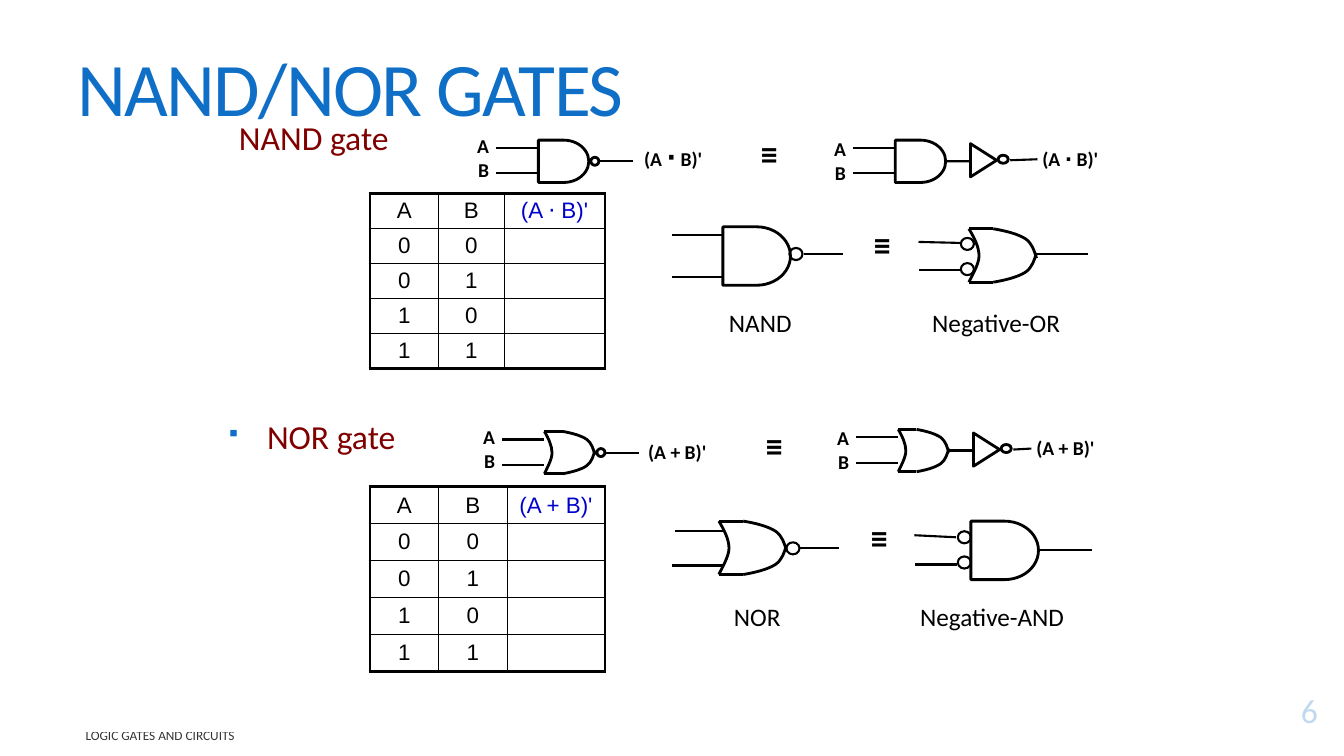
import itertools

import pptx
import pptx.dml.color
import pptx.enum.shapes
import pptx.enum.text
import pptx.oxml
import pptx.oxml.ns
import pptx.util
from pptx.util import Inches

BLACK = pptx.dml.color.RGBColor(0x00, 0x00, 0x00)
BLUE = pptx.dml.color.RGBColor(0x0F, 0x6F, 0xC6)
MAROON = pptx.dml.color.RGBColor(0x80, 0x00, 0x00)
OUTPUT_BLUE = pptx.dml.color.RGBColor(0x00, 0x00, 0xCC)

SHAPE = pptx.enum.shapes.MSO_SHAPE
STRAIGHT = pptx.enum.shapes.MSO_CONNECTOR.STRAIGHT
ALIGN = pptx.enum.text.PP_ALIGN
ANCHOR = pptx.enum.text.MSO_ANCHOR
NO_FIT = pptx.enum.text.MSO_AUTO_SIZE.NONE

SMALL = (0.5, 0.42)
LARGE_AND = (0.67, 0.58)
LARGE_OR = (0.67, 0.53)
SIGNAL = {"size": 14, "bold": True}
CAPTION = {"size": 18}
EQUIVALENT = {"size": 24, "bold": True}
GATE_NAME = {"size": 24, "color": MAROON}

# Bezier outlines of an OR gate as fractions of its width and height
OR_BACK = [(0, 0), (0.08, 0.17), (0.15, 0.34), (0.15, 0.51),
           (0.15, 0.67), (0.03, 0.91), (0, 1)]
OR_TOP = [(0.36, 0), (0.55, 0.04), (0.73, 0.1), (0.84, 0.19),
          (0.94, 0.28), (0.97, 0.42), (1, 0.55)]
OR_BOTTOM = [(x, 1 - y) for x, y in OR_TOP]


def add_xml(parent, tag, **attributes):
    element = pptx.oxml.parse_xml(f"<{tag} {pptx.oxml.ns.nsdecls('a')}/>")
    for name, value in attributes.items():
        element.set(name, str(value))
    parent.append(element)
    return element


class CircuitSlide:
    def __init__(self, page):
        self.page = page
        self.shapes = page.shapes

    def start_group(self):
        self.shapes = self.page.shapes.add_group_shape().shapes

    def format_font(self, font, size, color=BLACK, bold=False, name="Calibri"):
        values = {"size": pptx.util.Pt(size), "bold": bold, "name": name}
        for attribute, value in values.items():
            setattr(font, attribute, value)
        font.color.rgb = color

    def fill_text(self, box, text, style, align=ALIGN.LEFT, anchor=ANCHOR.TOP, spacing=None):
        """Write text, or a list of (text, size) spans, into a box."""
        values = {"word_wrap": True, "auto_size": NO_FIT, "vertical_anchor": anchor}
        for attribute, value in values.items():
            setattr(box.text_frame, attribute, value)
        para = box.text_frame.paragraphs[0]
        para.alignment = align
        if spacing:
            para.line_spacing = spacing
        para.space_before = 0
        if isinstance(text, str):
            para.text = text
            for span in para.runs:
                self.format_font(span.font, **style)
        else:
            for words, size in text:
                span = para.add_run()
                span.text = words
                self.format_font(span.font, **{**style, "size": size})
        return para

    def text(self, place, text, style, **layout):
        box = self.shapes.add_textbox(*map(Inches, place))
        return self.fill_text(box, text, style, **layout)

    def placeholder(self, box, place, text, style, **layout):
        for side, value in zip(("left", "top", "width", "height"), place):
            setattr(box, side, Inches(value))
        return self.fill_text(box, text, style, **layout)

    def bullet(self, para, symbol, indent, color=None):
        properties = para._p.get_or_add_pPr()
        properties.set("marL", str(Inches(indent)))
        properties.set("indent", str(-Inches(indent)))
        if color is not None:
            add_xml(add_xml(properties, "a:buClr"), "a:srgbClr", val=color)
            add_xml(properties, "a:buSzPct", val=65000)
            add_xml(properties, "a:buFont", typeface="Wingdings")
        add_xml(properties, "a:buChar", char=symbol)

    def fade(self, para, percent):
        color = para.runs[0].font._element.find(".//" + pptx.oxml.ns.qn("a:srgbClr"))
        add_xml(color, "a:alpha", val=percent * 1000)

    def outline(self, shape, width):
        shape.shadow.inherit = False
        shape.fill.background()
        shape.line.color.rgb = BLACK
        shape.line.width = pptx.util.Pt(width)
        return shape

    def preset(self, kind, place, width=2):
        return self.outline(self.shapes.add_shape(kind, *map(Inches, place)), width)

    def wire(self, x1, y1, x2, y2, width=1.5, source=None):
        line = self.shapes.add_connector(STRAIGHT, *map(Inches, (x1, y1, x2, y2)))
        line.line.color.rgb = BLACK
        line.line.width = pptx.util.Pt(width)
        add_xml(line._element.spPr, "a:effectLst")
        if source is not None:
            line.begin_connect(source, 3)

    def curve(self, points):
        """Draw a chain of cubic Bezier segments through every third point."""
        points = [tuple(map(Inches, point)) for point in points]
        builder = self.shapes.build_freeform(*points[0])
        builder.add_line_segments(points[1:], close=False)
        shape = self.outline(builder.convert_to_shape(), 2)
        lines = list(shape._element.iter(pptx.oxml.ns.qn("a:lnTo")))
        route = lines[0].getparent()
        for index, line in enumerate(lines):
            if index % 3 == 0:
                bend = add_xml(route, "a:cubicBezTo")
            bend.append(line[0])
            route.remove(line)

    def and_gate(self, x, y, size):
        return self.preset(SHAPE.FLOWCHART_DELAY, (x, y, *size))

    def or_gate(self, x, y, size):
        width, height = size
        for outline in (OR_BACK, OR_TOP, OR_BOTTOM):
            self.curve([(x + fx * width, y + fy * height) for fx, fy in outline])
        for edge in (y, y + height):
            self.wire(x, edge, x + 0.36 * width, edge, 2)

    def bubble(self, x, y):
        self.preset(SHAPE.OVAL, (x, y, 0.13, 0.12), 1.5)

    def gate_with_inputs(self, draw_gate, x, y, label_rise):
        for level in (y + 0.08, y + 0.33):
            self.wire(x - 0.42, level, x, level)
        self.text((x - 0.72, y - label_rise, 0.33, 0.57), "A\vB", SIGNAL, align=ALIGN.RIGHT)
        return draw_gate(x, y, SMALL)

    def negated_gate(self, draw_gate, x, y):
        self.gate_with_inputs(draw_gate, x, y, 0.11)
        self.preset(SHAPE.OVAL, (x + 0.52, y + 0.17, 0.08, 0.08))
        self.wire(x + 0.6, y + 0.21, x + 0.94, y + 0.21)

    def gate_and_inverter(self, draw_gate, x, y, result, result_x):
        gate = self.gate_with_inputs(draw_gate, x, y, 0.08)
        self.wire(x + 0.5, y + 0.21, x + 0.75, y + 0.21, source=gate)
        self.preset(SHAPE.FLOWCHART_MERGE, (x + 0.71, y + 0.07, 0.33, 0.26)).rotation = 270
        self.preset(SHAPE.OVAL, (x + 1.02, y + 0.15, 0.1, 0.08))
        self.wire(x + 1.14, y + 0.2, result_x + 0.05, y + 0.19)
        self.text((result_x, y + 0.02, 1, 0.33), result, SIGNAL)

    def equivalent(self, x, y):
        self.text((x, y, 0.5, 0.5), "≡", EQUIVALENT, align=ALIGN.CENTER)

    def truth_table(self, top, columns, height, output):
        rows = [("A", "B", output)] + [(a, b, "") for a, b in itertools.product("01", repeat=2)]
        frame = self.shapes.add_table(len(rows), 3, Inches(3.67), Inches(top),
                                      Inches(sum(columns)), Inches(height))
        table = frame.table
        table.first_row = table.horz_banding = False
        for column, width in zip(table.columns, columns):
            column.width = Inches(width)
        for r, row in enumerate(rows):
            table.rows[r].height = Inches(height / len(rows))
            for c, words in enumerate(row):
                cell = table.cell(r, c)
                cell.margin_top = cell.margin_bottom = Inches(0.02)
                cell.vertical_anchor = ANCHOR.MIDDLE
                cell.fill.background()
                para = cell.text_frame.paragraphs[0]
                para.alignment = ALIGN.CENTER
                if words:
                    para.text = words
                    color = OUTPUT_BLUE if c == 2 else BLACK
                    self.format_font(para.runs[0].font, 16, color, name="Arial")
                else:
                    add_xml(para._p, "a:endParaRPr", sz=1600)
                outer = {"L": c == 0, "R": c == 2, "T": r == 0, "B": r == len(rows) - 1}
                self.cell_borders(cell, outer)

    def cell_borders(self, cell, outer):
        properties = cell._tc.get_or_add_tcPr()
        for position, (side, thick) in enumerate(outer.items()):
            border = add_xml(properties, f"a:ln{side}", w=pptx.util.Pt(2.25 if thick else 1))
            add_xml(add_xml(border, "a:solidFill"), "a:srgbClr", val=BLACK)
            properties.insert(position, border)


def main():
    deck = pptx.Presentation()
    deck.slide_width, deck.slide_height = Inches(13.33), Inches(7.5)
    page = deck.slides.add_slide(deck.slide_layouts[1])
    slide = CircuitSlide(page)

    slide.fade(slide.text((0.75, 7.17, 5.5, 0.25), "LOGIC GATES AND CIRCUITS",
                          {"size": 9.5}, anchor=ANCHOR.MIDDLE), 80)
    slide.fade(slide.text((12.5, 6.82, 0.67, 0.47), "6", {"size": 24, "color": BLUE},
                          align=ALIGN.RIGHT, anchor=ANCHOR.BOTTOM), 25)
    title = slide.placeholder(page.shapes.title, (0.67, 0.3, 12, 1.25), "NAND/NOR GATES",
                              {"size": 54, "color": BLUE}, anchor=ANCHOR.MIDDLE, spacing=0.85)
    title.runs[0].font._element.set("spc", "-120")
    nand = slide.placeholder(page.placeholders[1], (2.17, 1.17, 2.75, 0.5), "NAND gate",
                             GATE_NAME, spacing=0.85)
    slide.bullet(nand, " ", 0.1)
    nor = slide.text((2.17, 4.08, 2.75, 0.5), "NOR gate", GATE_NAME)
    slide.bullet(nor, "§", 0.38, BLUE)

    slide.truth_table(1.92, (0.68, 0.65, 1), 1.74, "(A ⋅ B)'")
    slide.truth_table(4.83, (0.68, 0.68, 0.97), 1.83, "(A + B)'")

    slide.start_group()
    slide.negated_gate(slide.and_gate, 5.34, 1.39)
    slide.text((6.29, 1.35, 0.94, 0.4), [("(A ", 14), ("⋅", 18), (" B)'", 14)], SIGNAL)
    slide.gate_and_inverter(slide.and_gate, 8.88, 1.39, "(A ⋅ B)'", 10.24)
    slide.equivalent(7.38, 1.27)

    slide.start_group()
    slide.negated_gate(slide.or_gate, 5.4, 4.28)
    slide.text((6.33, 4.32, 0.94, 0.33), "(A + B)'", SIGNAL)
    slide.gate_and_inverter(slide.or_gate, 8.91, 4.26, "(A + B)'", 10.18)
    slide.equivalent(7.43, 4.17)

    slide.start_group()
    slide.and_gate(7.17, 2.25, LARGE_AND)
    slide.or_gate(9.61, 2.27, LARGE_OR)
    for ends in ((6.67, 2.33, 7.17, 2.33), (6.67, 2.75, 7.17, 2.75), (7.97, 2.52, 8.36, 2.52),
                 (9.11, 2.4, 9.52, 2.41), (9.11, 2.68, 9.53, 2.68), (10.29, 2.52, 10.79, 2.52)):
        slide.wire(*ends)
    for corner in ((7.83, 2.46), (9.53, 2.36), (9.53, 2.61)):
        slide.bubble(*corner)
    slide.text((7, 3, 1.08, 0.4), "NAND", CAPTION, align=ALIGN.CENTER)
    slide.text((8.92, 3, 1.92, 0.4), "Negative-OR", CAPTION, align=ALIGN.CENTER)
    slide.equivalent(8.5, 2.17)

    slide.start_group()
    slide.or_gate(7.13, 5.17, LARGE_OR)
    negative_and = slide.and_gate(9.63, 5.17, LARGE_AND)
    slide.wire(10.3, 5.46, 10.83, 5.46, source=negative_and)
    for ends in ((6.69, 5.27, 7.19, 5.27), (6.67, 5.61, 7.17, 5.61), (7.93, 5.44, 8.32, 5.44),
                 (9.07, 5.31, 9.48, 5.33), (9.08, 5.6, 9.49, 5.6)):
        slide.wire(*ends)
    for corner in ((7.8, 5.38), (9.5, 5.27), (9.5, 5.52)):
        slide.bubble(*corner)
    slide.text((6.97, 5.92, 1.08, 0.4), "NOR", CAPTION, align=ALIGN.CENTER)
    slide.text((8.88, 5.92, 1.92, 0.4), "Negative-AND", CAPTION, align=ALIGN.CENTER)
    slide.equivalent(8.47, 5.08)

    deck.save("out.pptx")


if __name__ == "__main__":
    main()
